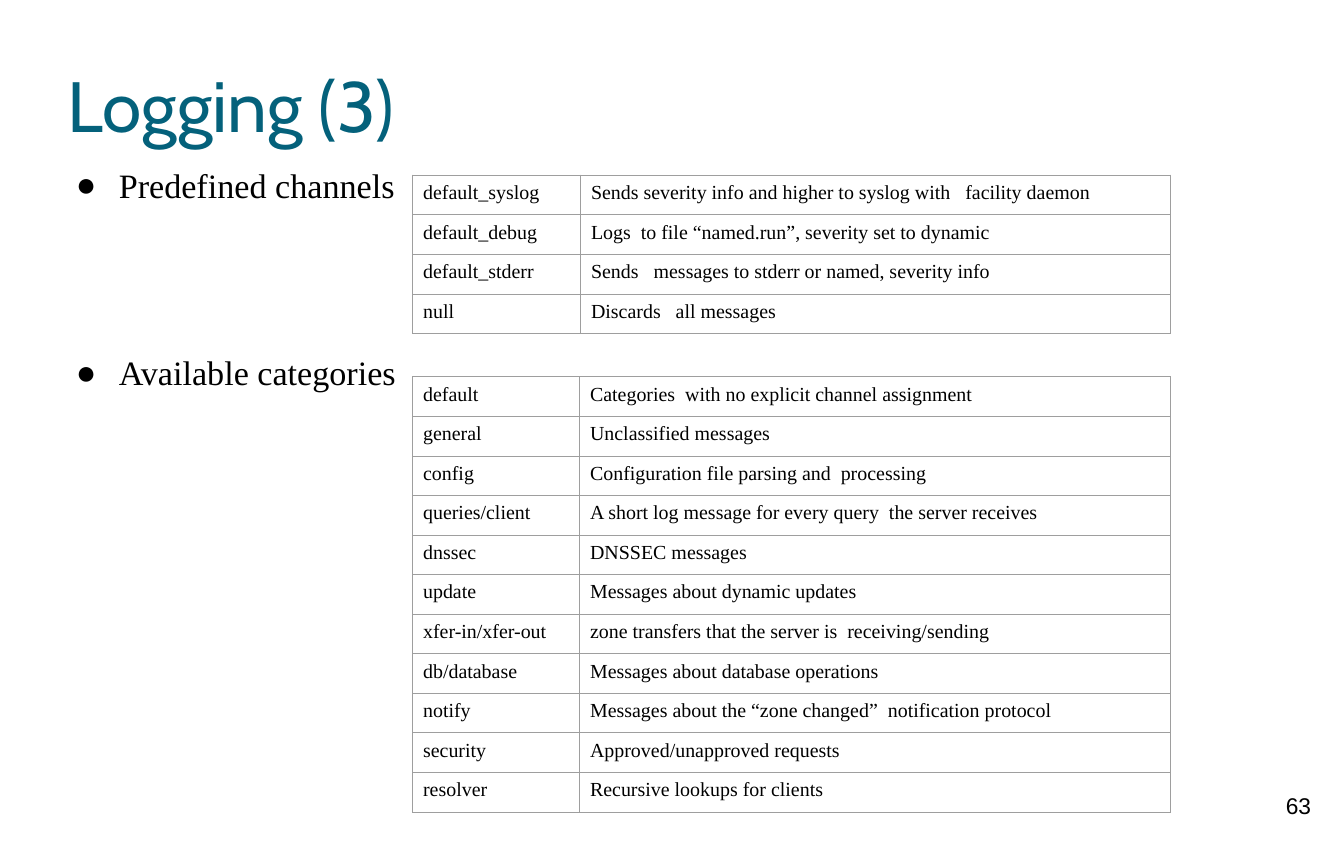
import pptx
import pptx.util
import pptx.dml.color
import pptx.enum.text
import pptx.oxml
import pptx.oxml.ns

Inches, Pt = pptx.util.Inches, pptx.util.Pt
RGBColor = pptx.dml.color.RGBColor
Align = pptx.enum.text.PP_ALIGN
Anchor = pptx.enum.text.MSO_ANCHOR

TEAL = RGBColor(0x04, 0x61, 0x7B)
BLACK = RGBColor(0, 0, 0)
GREY = RGBColor(0x9E, 0x9E, 0x9E)
SERIF = "Times New Roman"

TITLE = "Logging (3)"
PAGE = "63"
POINTS = [("Predefined channels", 0), ("Available categories", 99)]
CHANNELS = [
    ("default_syslog", "Sends severity info and higher to syslog with   facility daemon"),
    ("default_debug", "Logs  to file “named.run”, severity set to dynamic"),
    ("default_stderr", "Sends   messages to stderr or named, severity info"),
    ("null", "Discards   all messages"),
]
GROUPS = [
    ("default", "Categories  with no explicit channel assignment"),
    ("general", "Unclassified messages"),
    ("config", "Configuration file parsing and  processing"),
    ("queries/client", "A short log message for every query  the server receives"),
    ("dnssec", "DNSSEC messages"),
    ("update", "Messages about dynamic updates"),
    ("xfer-in/xfer-out", "zone transfers that the server is  receiving/sending"),
    ("db/database", "Messages about database operations"),
    ("notify", "Messages about the “zone changed”  notification protocol"),
    ("security", "Approved/unapproved requests"),
    ("resolver", "Recursive lookups for clients"),
]
TABLES = [(CHANNELS, 1.71, 1.55, 1.64), (GROUPS, 3.68, 4.25, 1.63)]
LEFT, WIDTH = 4.03, 7.4


def write(para, text, size=14, face=SERIF, color=BLACK, align=Align.LEFT,
          lines=1.0, before=0, bullet=None):
    para.alignment = align
    para.line_spacing = lines
    para.space_before = Pt(before)
    if bullet:
        props = para._p.get_or_add_pPr()
        props.set("marL", str(Inches(0.5)))
        props.set("indent", str(Inches(-0.42)))
        tint = pptx.oxml.ns.nsdecls("a")
        props.append(pptx.oxml.parse_xml(
            f'<a:buClr {tint}><a:srgbClr val="{BLACK}"/></a:buClr>'))
        props.append(pptx.oxml.parse_xml(f'<a:buChar {tint} char="{bullet}"/>'))
    run = para.add_run()
    run.text = text
    run.font.size = Pt(size)
    run.font.name = face
    run.font.color.rgb = color


def place(shape, left, top, width, height):
    shape.left, shape.top = Inches(left), Inches(top)
    shape.width, shape.height = Inches(width), Inches(height)


def inset(frame, gap):
    frame.margin_left = frame.margin_right = Inches(gap)
    frame.margin_top = frame.margin_bottom = Inches(gap)


def border(cell):
    props = cell._tc.get_or_add_tcPr()
    for spot, side in enumerate(("lnL", "lnR", "lnT", "lnB")):
        props.insert(spot, pptx.oxml.parse_xml(
            f'<a:{side} {pptx.oxml.ns.nsdecls("a")} w="{Pt(0.75)}"><a:solidFill>'
            f'<a:srgbClr val="{GREY}"/></a:solidFill></a:{side}>'))


def add_grid(slide, rows, top, height, first):
    table = slide.shapes.add_table(
        len(rows), 2, Inches(LEFT), Inches(top), Inches(WIDTH), Inches(height)).table
    table.first_row = table.horz_banding = False
    table.columns[0].width = Inches(first)
    table.columns[1].width = Inches(WIDTH - first)
    for r, row in enumerate(rows):
        for c, text in enumerate(row):
            cell = table.cell(r, c)
            inset(cell, 0.1)
            cell.fill.background()
            border(cell)
            write(cell.text_frame.paragraphs[0], text, lines=0.8)


def main():
    deck = pptx.Presentation()
    deck.slide_width, deck.slide_height = Inches(13.12), Inches(8.27)
    slide = deck.slides.add_slide(deck.slide_layouts[1])

    title, body = slide.placeholders
    place(title, 0.66, 0.33, 11.81, 1.38)
    place(body, 0.66, 1.54, 11.84, 2.26)
    for shape, anchor in ((title, Anchor.MIDDLE), (body, Anchor.TOP)):
        frame = shape.text_frame
        inset(frame, 0)
        frame.auto_size = pptx.enum.text.MSO_AUTO_SIZE.NONE
        frame.vertical_anchor = anchor
    write(title.text_frame.paragraphs[0], TITLE, size=50, face="Cabin", color=TEAL)

    frame = body.text_frame
    for i, (text, before) in enumerate(POINTS):
        para = frame.add_paragraph() if i else frame.paragraphs[0]
        write(para, text, size=24, lines=1.15, before=before, bullet="●")

    for grid in TABLES:
        add_grid(slide, *grid)

    page = slide.shapes.add_textbox(
        Inches(12.28), Inches(7.63), Inches(0.79), Inches(0.63)).text_frame
    page.word_wrap = True
    inset(page, 0.1)
    write(page.paragraphs[0], PAGE, size=16, face="Arial", align=Align.CENTER)

    deck.save("out.pptx")


if __name__ == "__main__":
    main()
